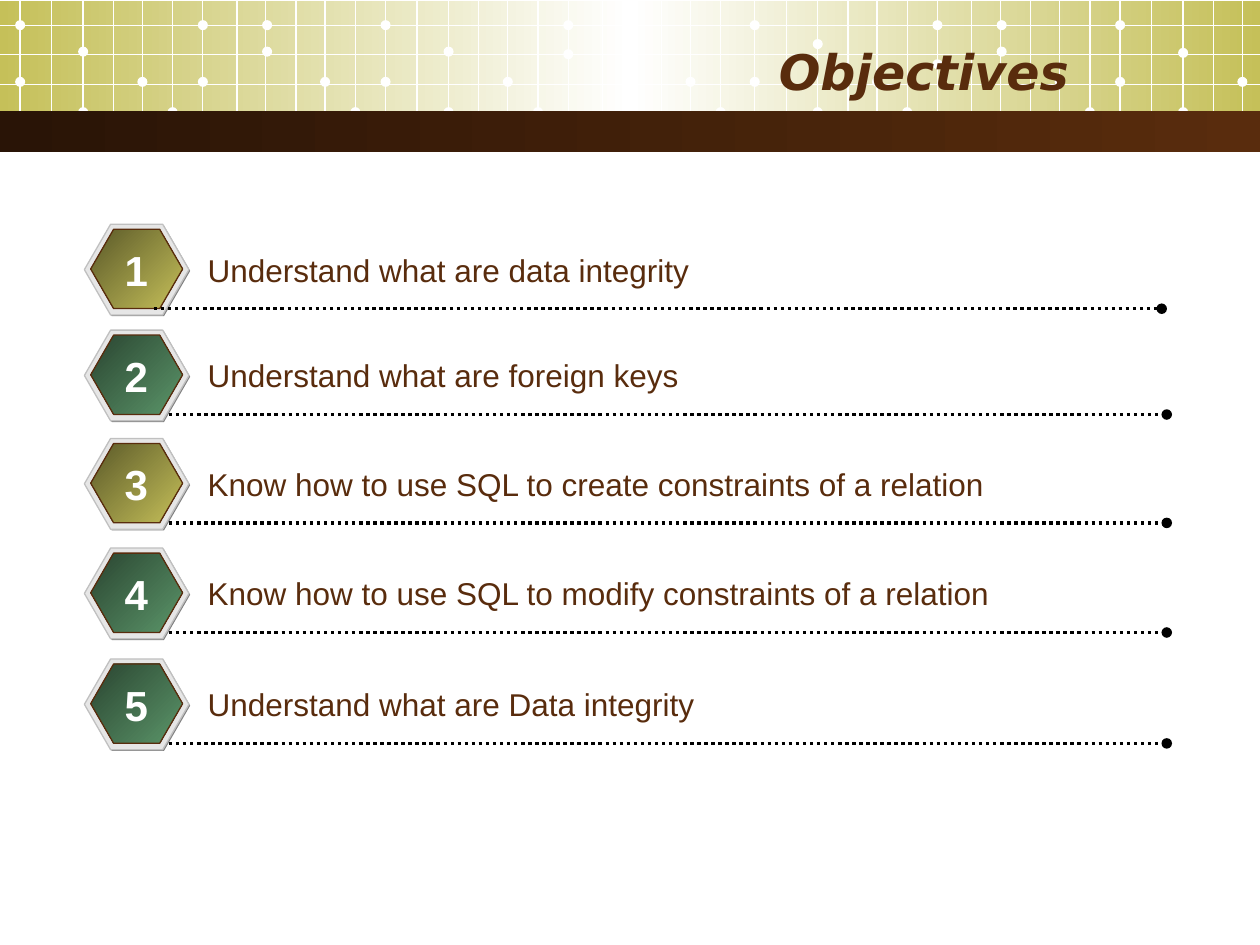
from copy import deepcopy
from typing import NamedTuple

from lxml import etree
from pptx import Presentation
from pptx.dml.color import RGBColor
from pptx.enum import dml, shapes, text
from pptx.oxml import ns
from pptx.util import Inches, Pt

BROWN, WHITE, OLIVE = "592C0D", "FFFFFF", "C5C059"
GOLD, GREEN = ("5B5929", OLIVE), ("2A4531", "5B9569")
OVAL, RECT, HEX = (shapes.MSO_SHAPE.OVAL, shapes.MSO_SHAPE.RECTANGLE,
                   shapes.MSO_SHAPE.HEXAGON)


class Tile(NamedTuple):
    left: float
    high: float
    mid: float


class Item(NamedTuple):
    top: float
    label: str
    tint: tuple[str, str]
    start: float = 1.34
    end: float = 9.26


TILES = [Tile(0.16, 0.37, 0.61), Tile(3.06, 0.37, 0.39),
         Tile(5.99, 0.31, 0.47), Tile(8.89, 0.38, 0.61)]
COLS = [0, 0.25, 0.5, 0.74, 0.97, 1.21, 1.45, 1.72, 1.95, 2.19, 2.42, 2.66]
ROWS = [0.2, 0.43, 0.67, 0.89]
ITEMS = [
    Item(1.78, "Understand what are data integrity", GOLD, 1.22, 9.22),
    Item(2.62, "Understand what are foreign keys", GREEN),
    Item(3.48, "Know how to use SQL to create constraints of a relation", GOLD),
    Item(4.35, "Know how to use SQL to modify constraints of a relation", GREEN),
    Item(5.23, "Understand what are Data integrity", GREEN),
]


def rgb(code: str) -> RGBColor:
    return RGBColor.from_string(code)


def blend(shape, tints: tuple[str, ...], angle: float) -> None:
    shape.fill.gradient()
    shape.fill.gradient_angle = angle
    stops = shape._element.spPr.find(".//" + ns.qn("a:gsLst"))
    while len(stops) < len(tints):
        stops.append(deepcopy(stops[0]))
    for i, (stop, tint) in enumerate(zip(shape.fill.gradient_stops, tints)):
        stop.position = i / (len(tints) - 1)
        stop.color.rgb = rgb(tint)


def add_form(slide, kind, left: float, top: float, width: float, height: float,
             *tints: str, edge: str = "", angle: float = 0):
    shape = slide.shapes.add_shape(
        kind, Inches(left), Inches(top), Inches(width), Inches(height))
    shape.shadow.inherit = False
    if kind == HEX:
        shape.adjustments[0] = 0.289
    if len(tints) > 1:
        blend(shape, tints, angle)
    else:
        shape.fill.solid()
        shape.fill.fore_color.rgb = rgb(tints[0])
    if edge:
        shape.line.color.rgb = rgb(edge)
        shape.line.width = Pt(0.75)
    else:
        shape.line.fill.background()
    return shape


def add_line(slide, x1: float, y1: float, x2: float, y2: float,
             tint: str = WHITE, width: float = 0.75):
    line = slide.shapes.add_connector(
        shapes.MSO_CONNECTOR.STRAIGHT,
        Inches(x1), Inches(y1), Inches(x2), Inches(y2))
    line.line.color.rgb = rgb(tint)
    line.line.width = Pt(width)
    etree.SubElement(line._element.spPr, ns.qn("a:effectLst"))
    return line


def add_text(slide, words: str, left: float, top: float, width: float,
             height: float, *, size: float, tint: str = BROWN,
             font: str = "Arial", bold: bool = False, slant: bool = False,
             align=text.PP_ALIGN.LEFT, anchor=text.MSO_ANCHOR.TOP,
             wrap: bool = True) -> None:
    box = slide.shapes.add_textbox(
        Inches(left), Inches(top), Inches(width), Inches(height))
    frame = box.text_frame
    frame.word_wrap = wrap
    frame.vertical_anchor = anchor
    para = frame.paragraphs[0]
    para.alignment = align
    run = para.add_run()
    run.text = words
    run.font.name, run.font.size = font, Pt(size)
    run.font.bold, run.font.italic = bold, slant
    run.font.color.rgb = rgb(tint)


def draw_tile(slide, tile: Tile) -> None:
    dots = [(0, 0.61), (0, 0.16), (0.5, tile.high), (0.5, 0.85),
            (0.97, 0.61), (1.21, 0.85), (1.45, tile.mid), (1.45, 0.16),
            (1.96, 0.37), (1.96, 0.16), (2.42, 0.61), (2.66, 0.85)]
    for col in COLS:
        if tile.left + col < 10:
            add_line(slide, tile.left + col, 0.01, tile.left + col, 1.1)
    for col, top in dots:
        if tile.left + col < 10:
            add_form(slide, OVAL, tile.left + col - 0.04, top, 0.08, 0.08, WHITE)


def draw_head(slide) -> None:
    add_form(slide, RECT, 0, 0.01, 10, 1.02, OLIVE, WHITE, OLIVE)
    for tile in TILES:
        draw_tile(slide, tile)
    for row in ROWS:
        add_line(slide, 0, row, 10, row)
    add_form(slide, RECT, 0, 0.88, 10, 0.33, "291406", BROWN)
    add_text(slide, "Objectives", 0.5, 0.25, 8.08, 0.62, size=28,
             font="DejaVu Sans", bold=True, slant=True,
             align=text.PP_ALIGN.RIGHT, anchor=text.MSO_ANCHOR.MIDDLE)


def draw_item(slide, num: int, item: Item) -> None:
    top = item.top
    add_form(slide, HEX, 0.68, top + 0.01, 0.83, 0.72, "808080")
    add_form(slide, HEX, 0.67, top, 0.83, 0.72, "E6E6E6", edge="C0C0C0")
    add_form(slide, HEX, 0.72, top + 0.04, 0.73, 0.63, *item.tint,
             edge=BROWN, angle=315)
    rule = add_line(slide, item.start, top + 0.67, item.end, top + 0.67,
                    "000000", 2)
    rule.line.dash_style = dml.MSO_LINE.ROUND_DOT
    etree.SubElement(rule.line._get_or_add_ln(), ns.qn("a:tailEnd"), type="oval")
    add_text(slide, item.label, 1.55, top + 0.16, 7.78, 0.4, size=18)
    add_text(slide, str(num), 0.89, top + 0.11, 0.38, 0.5, size=24, tint=WHITE,
             bold=True, align=text.PP_ALIGN.CENTER, wrap=False)


def main() -> None:
    deck = Presentation()
    deck.slide_width, deck.slide_height = Inches(10), Inches(7.5)
    slide = deck.slides.add_slide(deck.slide_layouts[6])
    draw_head(slide)
    for num, item in enumerate(ITEMS, 1):
        draw_item(slide, num, item)
    deck.save("out.pptx")


if __name__ == "__main__":
    main()
